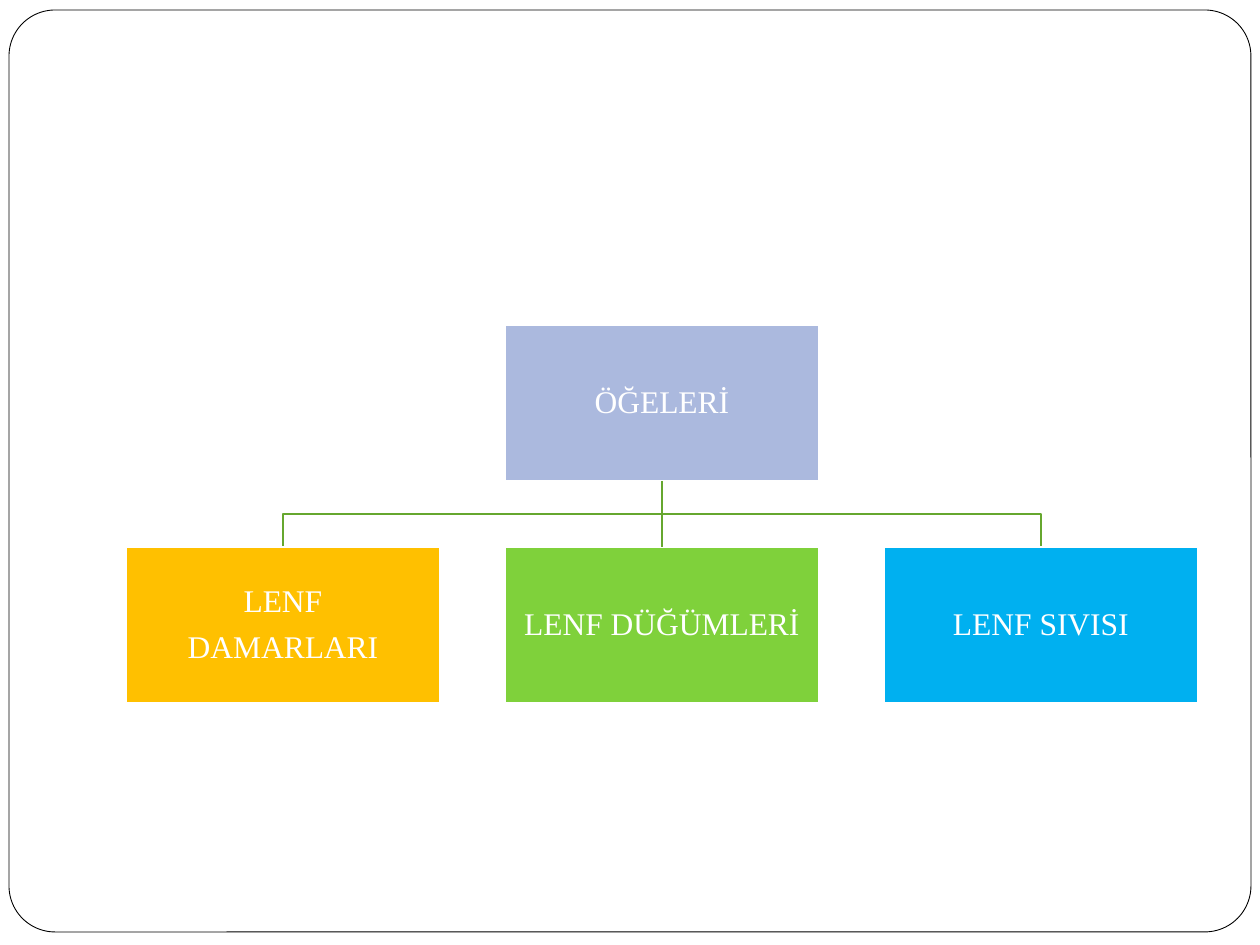
from dataclasses import dataclass

from lxml.etree import SubElement
from pptx import Presentation
from pptx.dml.color import RGBColor
from pptx.enum.shapes import MSO_CONNECTOR, MSO_SHAPE
from pptx.enum.text import MSO_ANCHOR, PP_ALIGN
from pptx.oxml.ns import qn
from pptx.shapes.autoshape import Shape
from pptx.util import Pt

EMU_PER_PX = 914400 / 126
WHITE = RGBColor(0xFF, 0xFF, 0xFF)
BLACK = RGBColor(0x00, 0x00, 0x00)
BRANCH_GREEN = RGBColor(0x66, 0xA7, 0x2F)
PERIWINKLE = RGBColor(0xAB, 0xB9, 0xDE)
AMBER = RGBColor(0xFF, 0xC0, 0x00)
GREEN = RGBColor(0x7F, 0xD1, 0x3B)
BLUE = RGBColor(0x00, 0xB0, 0xF0)

BOX_WIDTH, BOX_HEIGHT = 314, 156
FIRST_LEFT, COLUMN_PITCH = 126, 379
ROOT_TOP, CHILD_TOP = 325, 547
TEXT_INSET = 1


@dataclass
class Node:
    label: str
    column: int
    top: int
    fill: RGBColor

    @property
    def left(self) -> int:
        return FIRST_LEFT + self.column * COLUMN_PITCH

    @property
    def center(self) -> int:
        return self.left + BOX_WIDTH // 2


ROOT = Node("ÖĞELERİ", 1, ROOT_TOP, PERIWINKLE)
CHILDREN = [
    Node("LENF\nDAMARLARI", 0, CHILD_TOP, AMBER),
    Node("LENF DÜĞÜMLERİ", 1, CHILD_TOP, GREEN),
    Node("LENF SIVISI", 2, CHILD_TOP, BLUE),
]


def px(length: int) -> int:
    return round(length * EMU_PER_PX)


def set_line(shape, color: RGBColor, width: float) -> None:
    shape.line.color.rgb = color
    shape.line.width = Pt(width)


def draw_block(shapes, kind: MSO_SHAPE, bounds: tuple[int, int, int, int],
               fill: RGBColor, line: RGBColor, width: float) -> Shape:
    block = shapes.add_shape(kind, *map(px, bounds))
    block.shadow.inherit = False
    block.fill.solid()
    block.fill.fore_color.rgb = fill
    set_line(block, line, width)
    return block


def draw_node(shapes, node: Node) -> Shape:
    box = draw_block(shapes, MSO_SHAPE.RECTANGLE,
                     (node.left, node.top, BOX_WIDTH, BOX_HEIGHT),
                     node.fill, WHITE, 1)
    frame = box.text_frame
    frame_format = {"word_wrap": True, "vertical_anchor": MSO_ANCHOR.MIDDLE}
    for side in ("left", "top", "right", "bottom"):
        frame_format[f"margin_{side}"] = px(TEXT_INSET)
    for name, value in frame_format.items():
        setattr(frame, name, value)
    frame.text = node.label
    for paragraph in frame.paragraphs:
        paragraph.alignment = PP_ALIGN.CENTER
        paragraph.line_spacing = 0.9
        paragraph.space_after = Pt(7)
        for name, value in {"name": "Times New Roman", "size": Pt(18)}.items():
            setattr(paragraph.font, name, value)
        paragraph.font.color.rgb = WHITE
    return box


def draw_elbow(shapes, parent: Node, child: Node) -> None:
    start = parent.top + BOX_HEIGHT
    middle = (start + child.top) // 2
    builder = shapes.build_freeform(parent.center, start, scale=EMU_PER_PX)
    builder.add_line_segments(
        [(parent.center, middle), (child.center, middle), (child.center, child.top)],
        close=False)
    elbow = builder.convert_to_shape()
    elbow.shadow.inherit = False
    elbow.fill.background()
    set_line(elbow, BRANCH_GREEN, 1)


def draw_stem(shapes, parent_box: Shape, child_box: Shape) -> None:
    stem = shapes.add_connector(MSO_CONNECTOR.STRAIGHT, 0, 0, 0, 0)
    stem.begin_connect(parent_box, 2)
    stem.end_connect(child_box, 0)
    set_line(stem, BRANCH_GREEN, 1)
    SubElement(stem._element.spPr, qn("a:effectLst"))


def main() -> None:
    deck = Presentation()
    deck.slide_width, deck.slide_height = px(1260), px(945)
    shapes = deck.slides.add_slide(deck.slide_layouts[6]).shapes

    border = draw_block(shapes, MSO_SHAPE.ROUNDED_RECTANGLE,
                        (9, 10, 1242, 922), WHITE, BLACK, 0.5)
    border.adjustments[0] = 0.05

    for child in CHILDREN:
        if child.column != ROOT.column:
            draw_elbow(shapes, ROOT, child)
    root_box = draw_node(shapes, ROOT)
    for child in CHILDREN:
        child_box = draw_node(shapes, child)
        if child.column == ROOT.column:
            draw_stem(shapes, root_box, child_box)

    deck.save("out.pptx")


if __name__ == "__main__":
    main()
